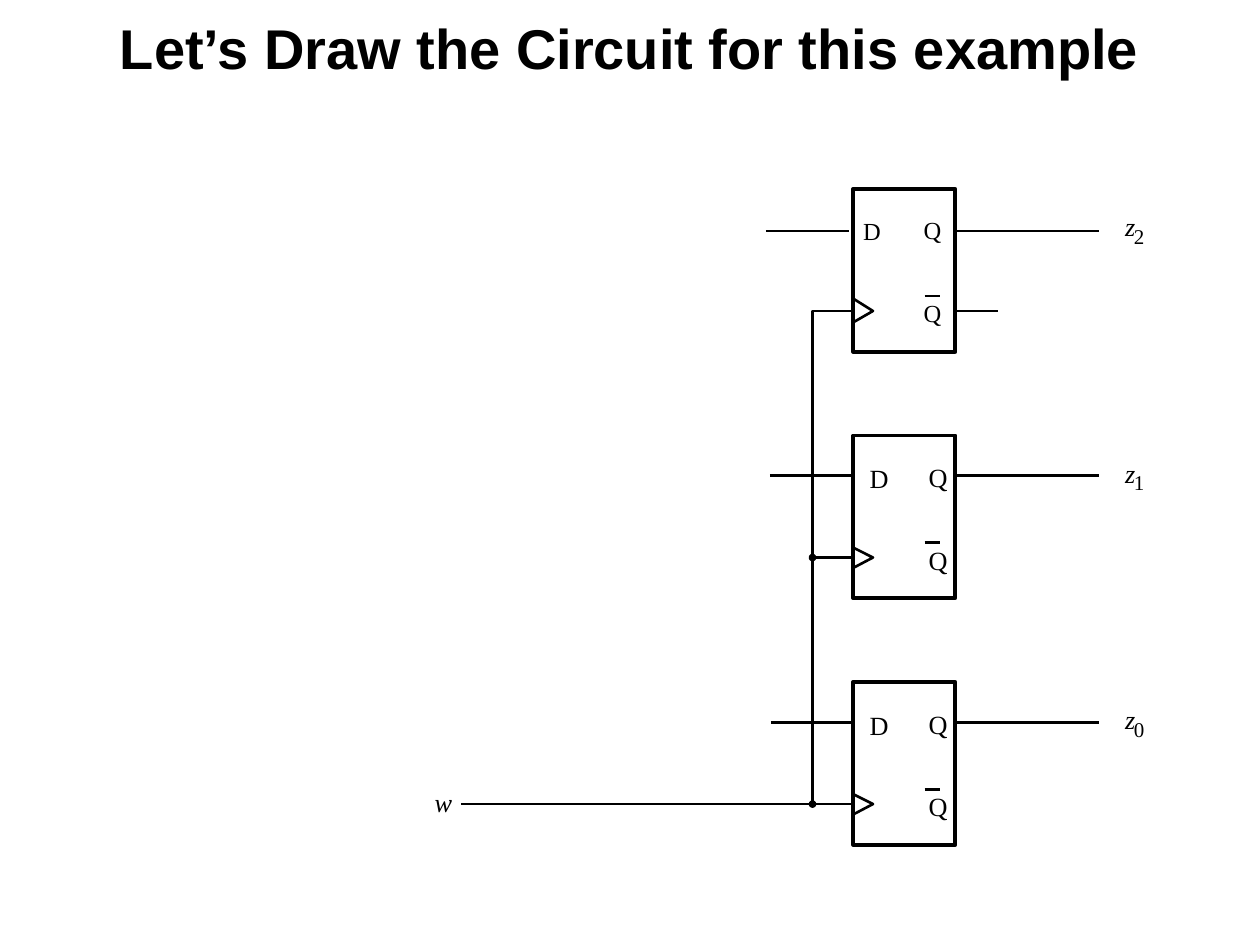
import dataclasses

import pptx
import pptx.dml.color
import pptx.enum.shapes
import pptx.enum.text
import pptx.oxml.ns
import pptx.util
from lxml import etree

Cm = pptx.util.Cm
Pt = pptx.util.Pt
Point = tuple[float, float]

COLORS = {"ink": "000000", "paper": "FFFFFF"}
SERIF = "Times New Roman"
THIN, THICK = 1.5, 2.25

LEFT, WIDTH, HEIGHT = 17.2, 2.06, 3.28
RIGHT = LEFT + WIDTH
TOP, PITCH = 3.81, 4.97
CLOCK = 2.46  # clock input, measured down from the top of a flip-flop
BUS = 16.38


@dataclasses.dataclass
class Flop:
    """One flip-flop: output index, input wire, label places and clock notch."""
    index: str
    start: float
    stop: float
    wire: float
    d_left: float
    q_left: float
    size: int
    notch: Point


FLOPS = [
    Flop("2", 15.44, 17.12, 0.85, 17.4, 18.62, 14, (2.21, 2.69)),
    Flop("1", 15.52, LEFT, 0.81, 17.53, 18.72, 15, (2.26, 2.67)),
    Flop("0", 15.54, LEFT, 0.81, 17.53, 18.72, 15, (2.26, 2.67)),
]


def color(name: str) -> pptx.dml.color.RGBColor:
    return pptx.dml.color.RGBColor.from_string(COLORS[name])


def style(shape, weight: float, fill: str | None = None) -> None:
    shape.shadow.inherit = False
    shape.line.color.rgb = color("ink")
    shape.line.width = Pt(weight)
    if fill:
        shape.fill.solid()
        shape.fill.fore_color.rgb = color(fill)
    else:
        shape.fill.background()


def wire(shapes, start: Point, end: Point) -> None:
    line = shapes.add_connector(
        pptx.enum.shapes.MSO_CONNECTOR.STRAIGHT,
        Cm(start[0]), Cm(start[1]), Cm(end[0]), Cm(end[1]))
    line.line.color.rgb = color("ink")
    line.line.width = Pt(THIN)
    etree.SubElement(line._element.spPr, pptx.oxml.ns.qn("a:effectLst"))


def path(shapes, points: list[Point]) -> None:
    """Draw an open line through the points."""
    first, *rest = [(Cm(x), Cm(y)) for x, y in points]
    form = shapes.build_freeform(*first)
    form.add_line_segments(rest, close=False)
    style(form.convert_to_shape(), THIN)


def block(shapes, kind, x: float, y: float, wide: float, high: float,
          weight: float, fill: str) -> None:
    shape = shapes.add_shape(kind, Cm(x), Cm(y), Cm(wide), Cm(high))
    style(shape, weight, fill)


def write(frame, text: str, size: int, face: str, bold: bool = False,
          slant: bool = False) -> None:
    run = frame.paragraphs[0].add_run()
    run.text = text
    run.font.size = Pt(size)
    run.font.name = face
    run.font.bold = bold
    run.font.italic = slant
    run.font.color.rgb = color("ink")


def label(shapes, text: str, x: float, y: float, size: int,
          slant: bool = False) -> None:
    frame = shapes.add_textbox(Cm(x), Cm(y), Cm(0.53), Cm(0.6)).text_frame
    frame.margin_left = frame.margin_right = 0
    frame.margin_top = frame.margin_bottom = 0
    frame.word_wrap = False
    write(frame, text, size, SERIF, slant=slant)


def title(shapes, text: str) -> None:
    frame = shapes.add_textbox(0, 0, Cm(25.4), Cm(1.9)).text_frame
    frame.word_wrap = True
    frame.vertical_anchor = pptx.enum.text.MSO_ANCHOR.MIDDLE
    frame.paragraphs[0].alignment = pptx.enum.text.PP_ALIGN.CENTER
    write(frame, text, 32, "Arial", bold=True)


def draw_flop(shapes, flop: Flop, top: float) -> None:
    block(shapes, pptx.enum.shapes.MSO_SHAPE.RECTANGLE,
          LEFT, top, WIDTH, HEIGHT, THICK, "paper")
    high, low = flop.notch
    path(shapes, [(LEFT, top + low), (LEFT + 0.4, top + CLOCK),
                  (LEFT, top + high)])
    label(shapes, "D", flop.d_left, top + 0.54, flop.size)
    label(shapes, "Q", flop.q_left, top + 0.52, flop.size)
    label(shapes, "Q", flop.q_left, top + 2.19, flop.size)
    wire(shapes, (18.64, top + 2.16), (18.95, top + 2.16))
    wire(shapes, (flop.start, top + flop.wire), (flop.stop, top + flop.wire))
    wire(shapes, (RIGHT, top + flop.wire), (22.16, top + flop.wire))
    label(shapes, "z", 22.68, top + 0.43, 15, slant=True)
    label(shapes, flop.index, 22.86, top + 0.69, 12)


def main() -> None:
    deck = pptx.Presentation()
    deck.slide_width, deck.slide_height = Cm(25.4), Cm(19.05)
    shapes = deck.slides.add_slide(deck.slide_layouts[6]).shapes

    title(shapes, "Let’s Draw the Circuit for this example")
    tops = [TOP + PITCH * row for row in range(len(FLOPS))]
    for flop, top in zip(FLOPS, tops):
        draw_flop(shapes, flop, top)

    first, middle, last = [top + CLOCK for top in tops]
    path(shapes, [(BUS, last), (BUS, first), (LEFT, first)])
    wire(shapes, (BUS, middle), (LEFT, middle))
    wire(shapes, (9.3, last), (LEFT, last))
    wire(shapes, (RIGHT, first), (20.12, first))
    for y in (middle, last):
        block(shapes, pptx.enum.shapes.MSO_SHAPE.OVAL,
              BUS - 0.05, y - 0.05, 0.1, 0.1, THIN, "ink")
    label(shapes, "w", 8.76, 15.85, 15, slant=True)

    deck.save("out.pptx")


if __name__ == "__main__":
    main()
